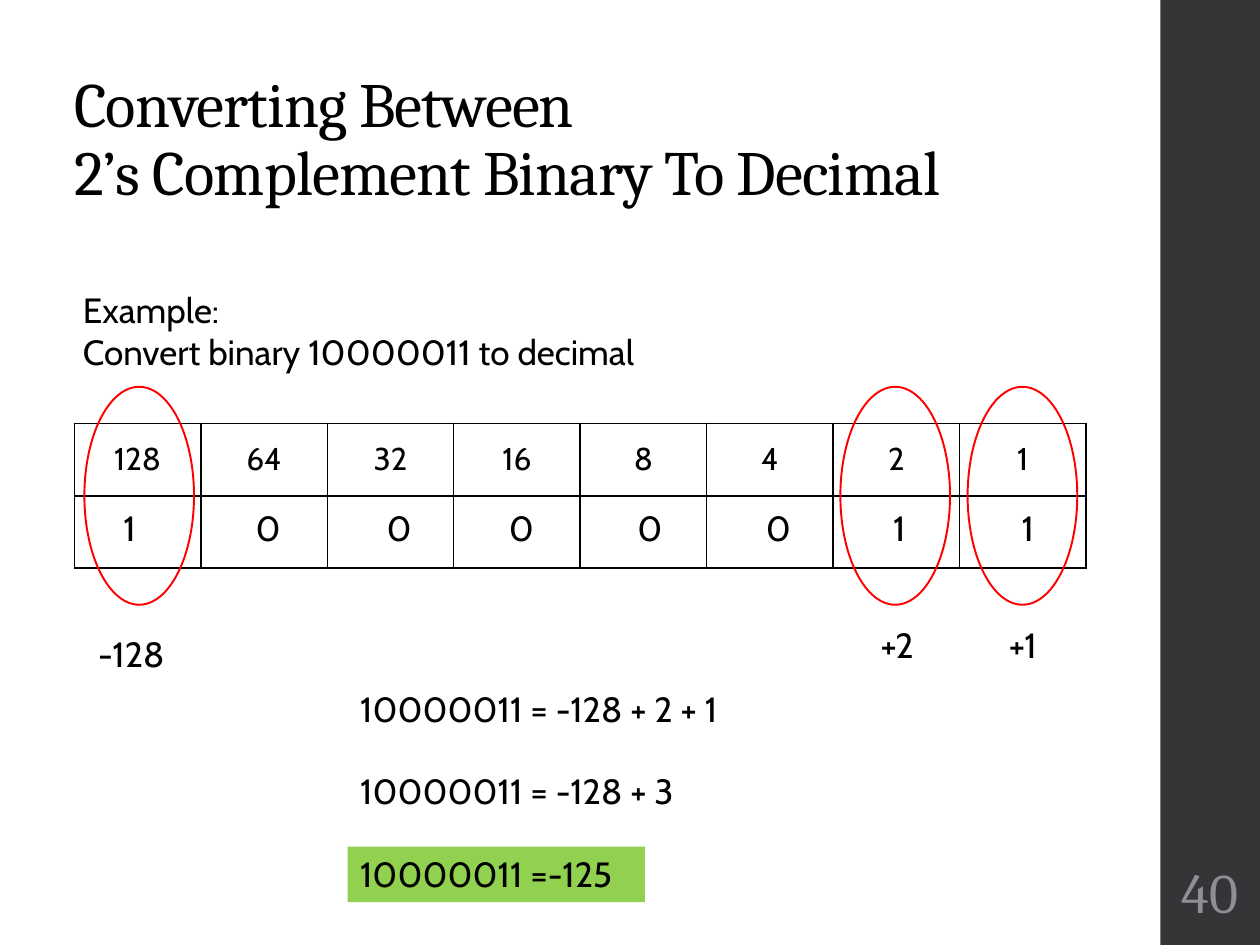
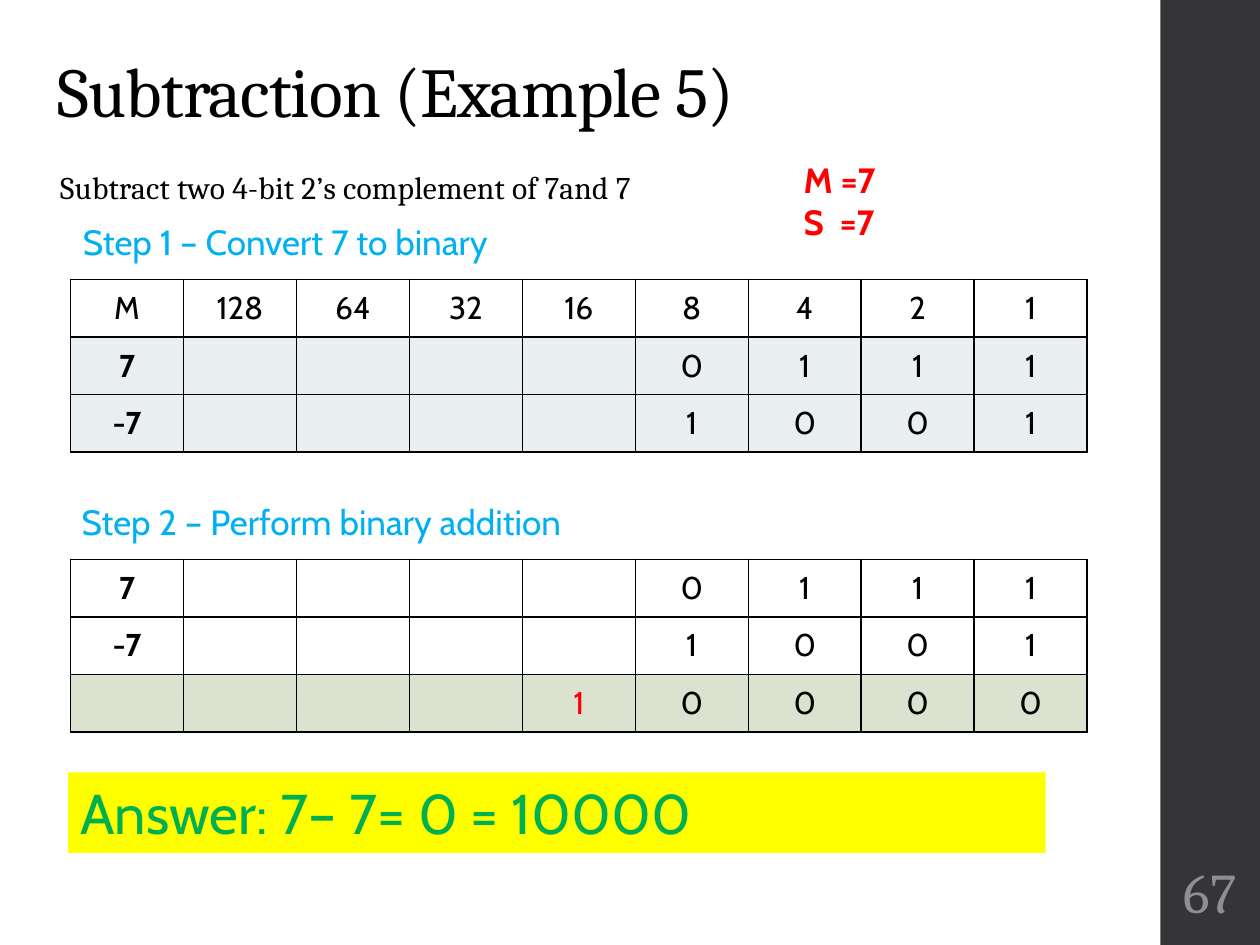
"""Builds two slides on binary numbers in 2's complement."""
from lxml.etree import SubElement
from pptx import Presentation
from pptx.dml.color import RGBColor
from pptx.enum.shapes import MSO_SHAPE
from pptx.enum.text import MSO_ANCHOR, PP_ALIGN
from pptx.oxml import parse_xml
from pptx.oxml.ns import nsdecls, qn
from pptx.util import Inches, Pt

BLACK = RGBColor(0x00, 0x00, 0x00)
DARK = RGBColor(0x35, 0x35, 0x37)
GRAY = RGBColor(0x8E, 0x8E, 0x94)
RED = RGBColor(0xFF, 0x00, 0x00)
BLUE = RGBColor(0x00, 0xB0, 0xF0)
GREEN = RGBColor(0x00, 0xB0, 0x50)
LIME = RGBColor(0x92, 0xD0, 0x50)
YELLOW = RGBColor(0xFF, 0xFF, 0x00)
ICE = RGBColor(0xE9, 0xEE, 0xF1)
SAGE = RGBColor(0xDC, 0xE2, 0xD0)
HEAD, BODY = "Cambria", "Cabin"

deck = Presentation()
deck.slide_width, deck.slide_height = Inches(10), Inches(7.5)
COL, ROW = deck.slide_width / 100, deck.slide_height / 75


def place(x, y, wide, high):
    """Turn grid columns and rows into lengths."""
    return int(x * COL), int(y * ROW), int(wide * COL), int(high * ROW)


def write(frame, text, size=20, font=BODY, color=BLACK, bold=False, align=PP_ALIGN.LEFT,
          anchor=MSO_ANCHOR.TOP, wrap=False, lead=1.0, track=0):
    """Fill a text frame with formatted paragraphs."""
    frame.word_wrap = wrap
    frame.vertical_anchor = anchor
    for i, line in enumerate(text.split("\n")):
        para = frame.add_paragraph() if i else frame.paragraphs[0]
        para.text = line
        para.alignment, para.line_spacing = align, lead
        for run in para.runs:
            run.font.size, run.font.name, run.font.bold = Pt(size), font, bold
            run.font.color.rgb = color
            run._r.get_or_add_rPr().set("spc", str(track))


TITLE = dict(font=HEAD, anchor=MSO_ANCHOR.BOTTOM, wrap=True, lead=0.9, track=-50)
STEP = dict(color=BLUE, wrap=True)
MID = dict(align=PP_ALIGN.CENTER, anchor=MSO_ANCHOR.MIDDLE)

weigh, minus = [deck.slides.add_slide(deck.slide_layouts[6]) for _ in range(2)]

for slide, page in ((weigh, "40"), (minus, "67")):
    band = slide.shapes.add_shape(MSO_SHAPE.RECTANGLE, *place(92.1, 0, 7.9, 75))
    band.shadow.inherit = False
    band.fill.solid()
    band.fill.fore_color.rgb = DARK
    band.line.fill.background()
    folio = slide.shapes.add_textbox(*place(92.3, 67.5, 7.5, 6.5)).text_frame
    folio.margin_left = folio.margin_right = Inches(0.03)
    write(folio, page, size=32, font=HEAD, color=GRAY, wrap=True, **MID)

powers = [str(2 ** n) for n in range(7, -1, -1)]
gap = [""] * 4
seven = ["7", *gap, *"0111"]
neg = ["-7", *gap, *"1001"]
total = [*gap, *"10000"]

tables = [
    (weigh, (5.9, 33.6, 80.3, 11.5), [(powers, None), ([""] * 8, None)]),
    (minus, (5.6, 22.2, 80.7, 13.7), [(["M", *powers], None), (seven, ICE), (neg, ICE)]),
    (minus, (5.6, 44.4, 80.7, 13.7), [(seven, None), (neg, None), (total, SAGE)]),
]
for slide, area, rows in tables:
    wide = len(rows[0][0])
    table = slide.shapes.add_table(len(rows), wide, *place(*area)).table
    table.first_row = table.horz_banding = False
    for r, (words, tint) in enumerate(rows):
        for c, word in enumerate(words):
            cell = table.cell(r, c)
            for side in ("lnL", "lnR", "lnT", "lnB"):
                cell._tc.get_or_add_tcPr().append(parse_xml(
                    f'<a:{side} {nsdecls("a")} w="12700"><a:solidFill>'
                    f'<a:srgbClr val="{BLACK}"/></a:solidFill></a:{side}>'))
            if tint:
                cell.fill.solid()
                cell.fill.fore_color.rgb = tint
            else:
                cell.fill.background()
            carry = c == 4 and word == "1"
            write(cell.text_frame, word, size=18, color=RED if carry else BLACK,
                  bold=word in ("7", "-7"), align=PP_ALIGN.CENTER, wrap=True)
            cell.vertical_anchor = MSO_ANCHOR.MIDDLE
            if not word:
                end = SubElement(cell._tc.txBody.p_lst[0], qn("a:endParaRPr"))
                end.set("sz", "1800")

texts = [
    (weigh, (4.9, 2.6, 86.9, 14.5), "Converting Between\v2’s Complement Binary To Decimal",
     dict(TITLE, size=36), None),
    (weigh, (5.6, 22.4, 46.8, 7.7), "Example:\nConvert binary 10000011 to decimal", {}, None),
    (weigh, (6.8, 49.7, 7.6, 4.4), "-128", {}, None),
    (weigh, (68.9, 49, 5.6, 4.4), "+2", {}, None),
    (weigh, (79.1, 49, 5.6, 4.4), "+1", {}, None),
    (weigh, (27.6, 54.1, 34.2, 4.4), "10000011 = -128 + 2 + 1", {}, None),
    (weigh, (27.6, 60.6, 28.9, 4.4), "10000011 = -128 + 3", {}, None),
    (weigh, (27.6, 67.2, 23.6, 4.4), "10000011 =-125", {}, LIME),
    (minus, (3.6, 2.9, 86.3, 8.1), "Subtraction (Example 5)", dict(TITLE, size=40), None),
    (minus, (3.8, 13.1, 86.3, 4.7), "Subtract two 4-bit 2’s complement of 7and 7",
     dict(size=18, font=HEAD, wrap=True, lead=0.95, track=10), None),
    (minus, (5.6, 17, 50.6, 4.4), "Step 1 – Convert 7 to binary", STEP, None),
    (minus, (5.5, 39.2, 50.6, 4.4), "Step 2 – Perform binary addition", STEP, None),
    (minus, (5.4, 61.3, 77.6, 6.4), "Answer: 7– 7= 0 = 10000",
     dict(size=32, color=GREEN, wrap=True), YELLOW),
    (minus, (62.8, 12.1, 9.5, 7.7), "M =7\nS  =7", dict(color=RED, bold=True), None),
]
lefts = (8.8, 19.3, 29.7, 39.4, 49.6, 59.8, 69.9, 80.1)
texts += [(weigh, (x, 39.7, 3.5, 4.4), bit, {}, None) for x, bit in zip(lefts, "10000011")]
for slide, area, text, style, tint in texts:
    box = slide.shapes.add_textbox(*place(*area))
    if tint:
        box.fill.solid()
        box.fill.fore_color.rgb = tint
    write(box.text_frame, text, **style)

for x in (6.7, 66.7, 76.8):
    ring = weigh.shapes.add_shape(MSO_SHAPE.OVAL, *place(x, 30.7, 8.7, 17.3))
    ring.shadow.inherit = False
    ring.fill.background()
    ring.line.color.rgb = RED
    ring.line.width = Pt(1.1)

deck.save("out.pptx")
